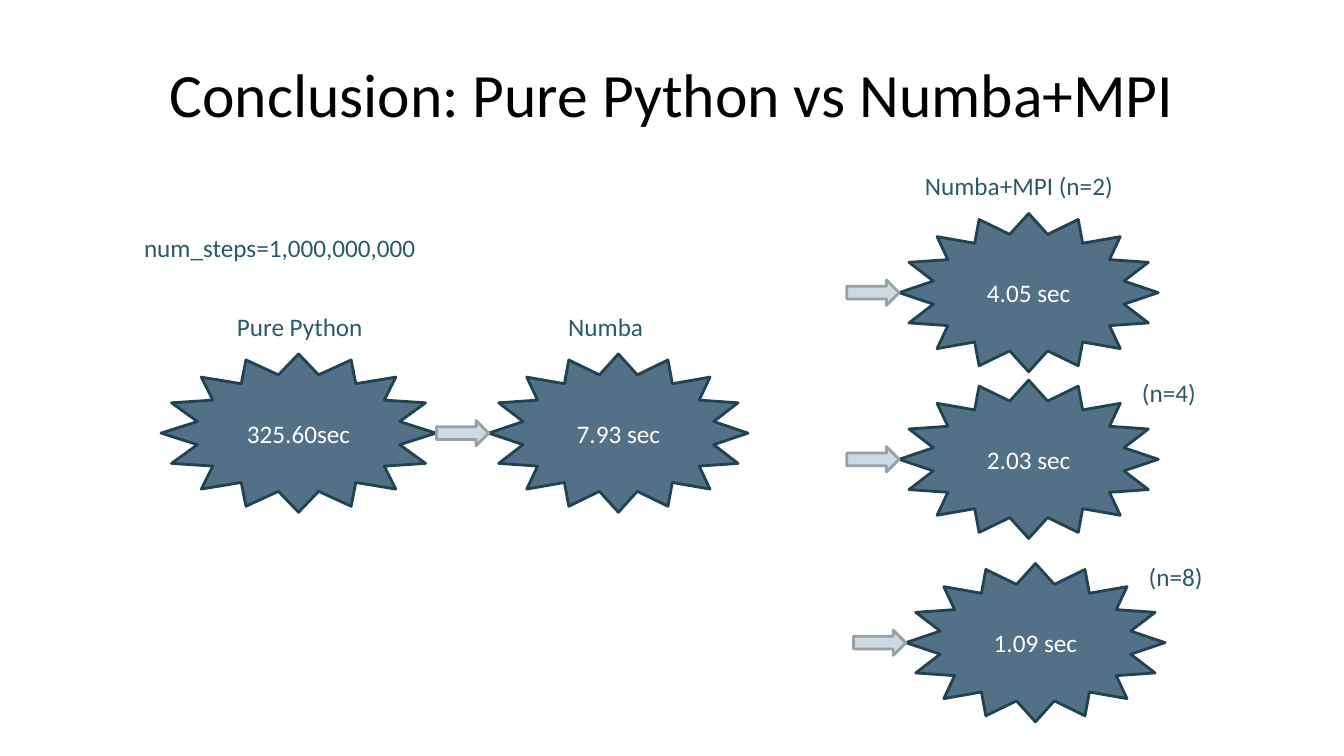
import pptx
import pptx.util
import pptx.dml.color
import pptx.enum.shapes
import pptx.enum.text

Cm, Pt = pptx.util.Cm, pptx.util.Pt
SHAPE = pptx.enum.shapes.MSO_SHAPE
ALIGN = pptx.enum.text.PP_ALIGN
ANCHOR = pptx.enum.text.MSO_ANCHOR

TITLE = "Conclusion: Pure Python vs Numba+MPI"
STEPS = ("num_steps=1,000,000,000", 3.38, 5.74, 8.48)

ABOVE, BESIDE = -1.21, -0.19
RESULTS = [
    dict(time="325.60sec", star=(4.06, 8.92, 6.93), label=("Pure Python", 1.66, ABOVE, 4.04), arrow=False),
    dict(time="7.93 sec", star=(12.32, 8.92, 6.53), label=("Numba", 1.75, ABOVE, 2.62), arrow=True),
    dict(time="4.05 sec", star=(22.66, 5.38, 6.53), label=("Numba+MPI (n=2)", 0.4, ABOVE, 5.97), arrow=True),
    dict(time="2.03 sec", star=(22.66, 9.58, 6.53), label=("(n=4)", 5.87, BESIDE, 2.13), arrow=True),
    dict(time="1.09 sec", star=(22.83, 14.2, 6.53), label=("(n=8)", 5.87, BESIDE, 2.13), arrow=True),
]
STAR_H, LABEL_H = 3.99, 1.02
ARROW_W, ARROW_H = 1.32, 0.64


def paint(color, value):
    color.rgb = pptx.dml.color.RGBColor.from_string(value)


def write(tf, text, size, color, align):
    p = tf.paragraphs[0]
    p.alignment = align
    r = p.add_run()
    r.text = text
    r.font.size = Pt(size)
    r.font.name = "Calibri"
    paint(r.font.color, color)


def add_shape(shapes, kind, x, y, w, h, fill, line):
    sp = shapes.add_shape(kind, Cm(x), Cm(y), Cm(w), Cm(h))
    sp.shadow.inherit = False
    sp.fill.solid()
    paint(sp.fill.fore_color, fill)
    paint(sp.line.color, line)
    sp.line.width = Pt(2)
    return sp


def add_label(shapes, text, x, y, w):
    tf = shapes.add_textbox(Cm(x), Cm(y), Cm(w), Cm(LABEL_H)).text_frame
    tf.word_wrap = True
    write(tf, text, 18, "2A5A69", ALIGN.LEFT)


prs = pptx.Presentation()
prs.slide_width, prs.slide_height = Cm(33.87), Cm(19.05)
s = prs.slides.add_slide(prs.slide_layouts[5])

title = s.shapes.title
title.left, title.top, title.width, title.height = Cm(1.7), Cm(0.76), Cm(30.48), Cm(3.18)
title.text_frame.vertical_anchor = ANCHOR.MIDDLE
write(title.text_frame, TITLE, 44, "000000", ALIGN.CENTER)

add_label(s.shapes, *STEPS)

for result in RESULTS:
    x, y, w = result["star"]
    group = s.shapes.add_group_shape()
    star = add_shape(group.shapes, SHAPE.STAR_16_POINT, x, y, w, STAR_H, "527086", "20434F")
    star.text_frame.vertical_anchor = ANCHOR.MIDDLE
    write(star.text_frame, result["time"], 18, "FFFFFF", ALIGN.CENTER)
    text, dx, dy, label_w = result["label"]
    add_label(group.shapes, text, x + dx, y + dy, label_w)
    if result["arrow"]:
        add_shape(s.shapes, SHAPE.RIGHT_ARROW, x - ARROW_W, y + (STAR_H - ARROW_H) / 2,
                  ARROW_W, ARROW_H, "CED9E1", "98A1A6")

prs.save("out.pptx")
